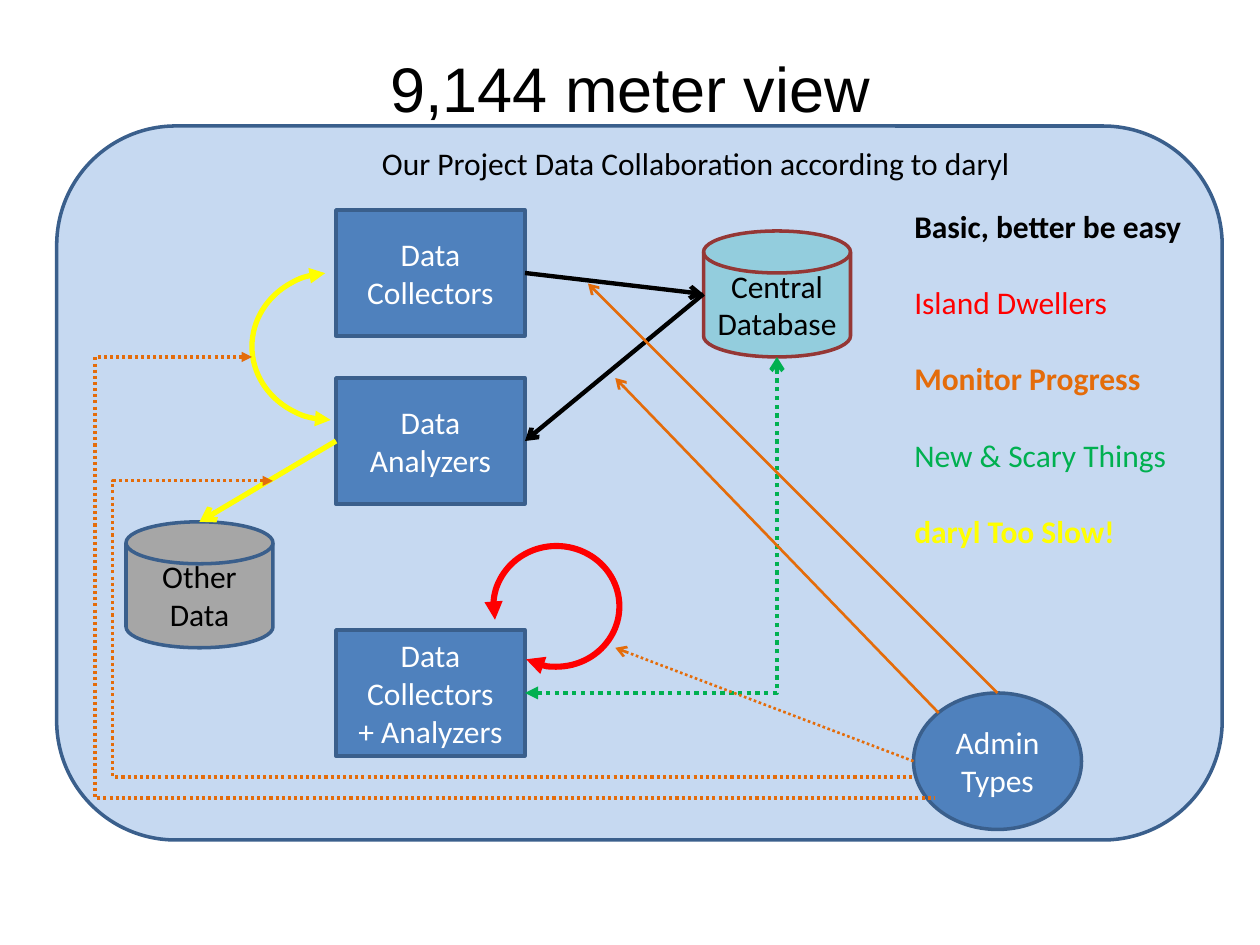
from dataclasses import dataclass

from pptx import Presentation
from pptx.dml.color import RGBColor
from pptx.enum.dml import MSO_LINE
from pptx.enum.shapes import MSO_CONNECTOR, MSO_SHAPE
from pptx.enum.text import MSO_ANCHOR, MSO_AUTO_SIZE, PP_ALIGN
from pptx.oxml.ns import qn
from pptx.util import Inches, Pt
from lxml.etree import SubElement

DOT = MSO_LINE.ROUND_DOT
STRAIGHT, ELBOW = MSO_CONNECTOR.STRAIGHT, MSO_CONNECTOR.ELBOW
RECT, ROUND, OVAL = MSO_SHAPE.RECTANGLE, MSO_SHAPE.ROUNDED_RECTANGLE, MSO_SHAPE.OVAL
DISK, ARC = MSO_SHAPE.FLOWCHART_MAGNETIC_DISK, MSO_SHAPE.ARC
LEFT, CENTER = PP_ALIGN.LEFT, PP_ALIGN.CENTER
MIDDLE = MSO_ANCHOR.MIDDLE
GROW = MSO_AUTO_SIZE.SHAPE_TO_FIT_TEXT
COLS, ROWS = 60, 45
WIDTH, HEIGHT = Inches(10), Inches(7.5)


@dataclass(frozen=True)
class Theme:
    panel: str = "C6D9F1"
    box: str = "4F81BD"
    edge: str = "3A5F8C"
    store: str = "93CDDD"
    rim: str = "953735"
    other: str = "A6A6A6"
    black: str = "000000"
    white: str = "FFFFFF"
    red: str = "FF0000"
    orange: str = "E46C0A"
    green: str = "00B050"
    yellow: str = "FFFF00"
    head: str = "Arial"
    body: str = "Calibri"
    big: int = 36
    text: int = 18
    gap: int = 22


T = Theme()


def rgb(code):
    return RGBColor.from_string(code)


def grid(col, row):
    return round(WIDTH * col / COLS), round(HEIGHT * row / ROWS)


def area(col, row, wide, high):
    return *grid(col, row), *grid(wide, high)


def write(frame, text, *, color=T.black, size=T.text, font=T.body,
          bold=False, align=LEFT, gap=0):
    for line in text.split("\n"):
        first = not frame.text
        para = frame.paragraphs[0] if first else frame.add_paragraph()
        para.alignment = align
        if gap and not first:
            para.space_before = Pt(gap)
        run = para.add_run()
        run.text = line
        run.font.name = font
        run.font.size = Pt(size)
        run.font.bold = bold
        run.font.color.rgb = rgb(color)


def stroke(item, color, width, dash=None, head=None, tail=None):
    item.line.color.rgb = rgb(color)
    item.line.width = Pt(width)
    if dash:
        item.line.dash_style = dash
    ln = item._element.spPr.find(qn("a:ln"))
    for tag, kind in (("a:headEnd", head), ("a:tailEnd", tail)):
        if kind:
            SubElement(ln, qn(tag), type=kind)


def node(slide, kind, place, fill, edge=T.edge, text="", color=T.white):
    shape = slide.shapes.add_shape(kind, *area(*place))
    shape.shadow.inherit = False
    shape.fill.solid()
    shape.fill.fore_color.rgb = rgb(fill)
    stroke(shape, edge, 2)
    if text:
        shape.text_frame.vertical_anchor = MIDDLE
        write(shape.text_frame, text, color=color, align=CENTER)
    return shape


def loop(slide, place, turns, color, width):
    shape = slide.shapes.add_shape(ARC, *area(*place))
    shape.shadow.inherit = False
    shape.fill.background()
    for spot, turn in enumerate(turns):
        shape.adjustments[spot] = turn
    stroke(shape, color, width, head="triangle", tail="triangle")


def link(slide, start, end, color, width, kind=STRAIGHT, **style):
    line = slide.shapes.add_connector(kind, *grid(*start), *grid(*end))
    stroke(line, color, width, **style)
    SubElement(line._element.spPr, qn("a:effectLst"))
    return line


def bend(slide, start, end, color, width, shift=None, **style):
    line = link(slide, start, end, color, width, ELBOW, dash=DOT,
                head="triangle", **style)
    geom = line._element.spPr.find(qn("a:prstGeom"))
    if shift is None:
        geom.set("prst", "bentConnector2")
    else:
        guides = geom.find(qn("a:avLst"))
        if guides is None:
            guides = SubElement(geom, qn("a:avLst"))
        SubElement(guides, qn("a:gd"), name="adj1",
                   fmla=f"val {round(shift * 100000)}")


def label(slide, place):
    frame = slide.shapes.add_textbox(*area(*place)).text_frame
    frame.word_wrap = False
    frame.auto_size = GROW
    return frame


def title(slide, text):
    shape = slide.shapes.title
    shape.left, shape.top, shape.width, shape.height = area(3, 1.8, 54, 4.7)
    shape.text_frame.vertical_anchor = MIDDLE
    write(shape.text_frame, text, size=T.big, font=T.head, align=CENTER)


def legend(slide):
    frame = label(slide, (42.95, 9.55, 14.05, 17))
    for text, color, bold in (
        ("Basic, better be easy", T.black, True),
        ("Island Dwellers", T.red, False),
        ("Monitor Progress", T.orange, True),
        ("New & Scary Things", T.green, False),
        ("daryl Too Slow!", T.yellow, True),
    ):
        write(frame, text, color=color, bold=bold, gap=T.gap)


def main():
    deck = Presentation()
    deck.slide_width, deck.slide_height = WIDTH, HEIGHT
    slide = deck.slides.add_slide(deck.slide_layouts[5])

    node(slide, ROUND, (2.7, 6, 55.5, 34), T.panel)
    title(slide, "9,144 meter view")
    gather, study, _ = [
        node(slide, RECT, (16, row, 9, 6), T.box, text=text)
        for row, text in ((10, "Data\nCollectors"), (18, "Data\nAnalyzers"),
                          (30, "Data\nCollectors\n+ Analyzers"))
    ]
    write(label(slide, (17.6, 6.55, 31.45, 2.4)),
          "Our Project Data Collaboration according to daryl")
    node(slide, OVAL, (43.5, 33, 8, 6.5), T.box, text="Admin Types")
    node(slide, DISK, (33.5, 11, 7, 6), T.store, T.rim,
         "Central\nDatabase", T.black)

    loop(slide, (23.5, 26, 6, 5.75), (100.61, 71.85), T.red, 3.5)
    hub = (33.5, 14)
    feed = link(slide, (25, 13), hub, T.black, 2.5, tail="arrow")
    feed.begin_connect(gather, 3)
    fetch = link(slide, hub, (25, 21), T.black, 2.5, tail="arrow")
    fetch.end_connect(study, 3)
    bend(slide, (25, 33), (37, 17), T.green, 2.5, tail="arrow")
    for start, end, dash in (
        ((44.7, 33.95), (29.3, 18), None),
        ((47.5, 33), (28, 13.5), None),
        ((43.5, 36.25), (29.3, 30.85), DOT),
    ):
        link(slide, start, end, T.orange, 1.5, dash=dash, tail="arrow")
    legend(slide)

    node(slide, DISK, (6, 24.85, 7, 6), T.other, text="Other\nData",
         color=T.black)
    send = link(slide, (16, 21), (9.5, 24.85), T.yellow, 3, tail="arrow")
    send.begin_connect(study, 1)
    loop(slide, (12, 13, 7.5, 7), (54, 159.43), T.yellow, 3)
    for start, end, shift in (((13, 22.9), (43.5, 37), -0.25),
                              ((12, 17), (44.5, 38), -0.23)):
        bend(slide, start, end, T.orange, 1.75, shift)

    deck.save("out.pptx")


if __name__ == "__main__":
    main()
